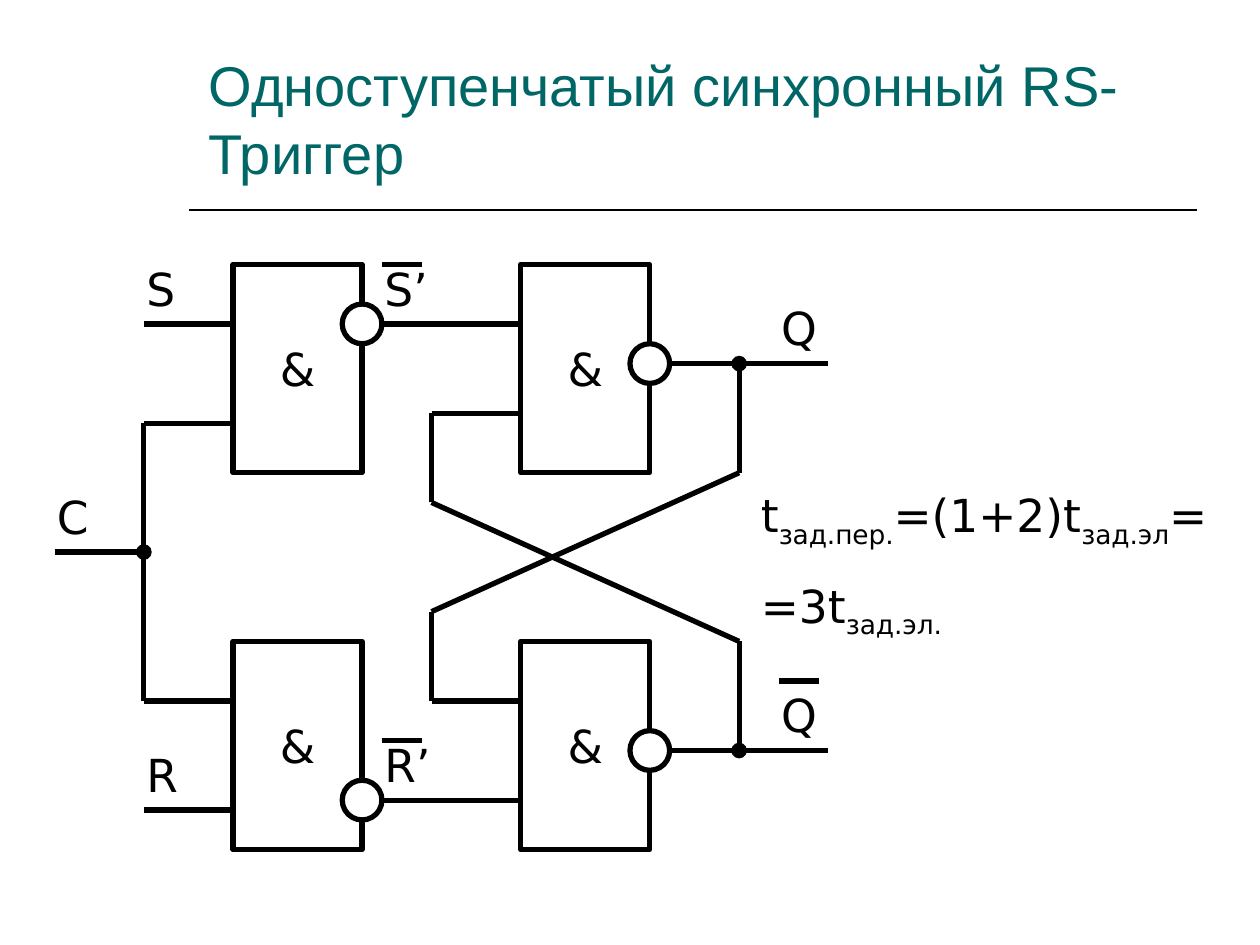
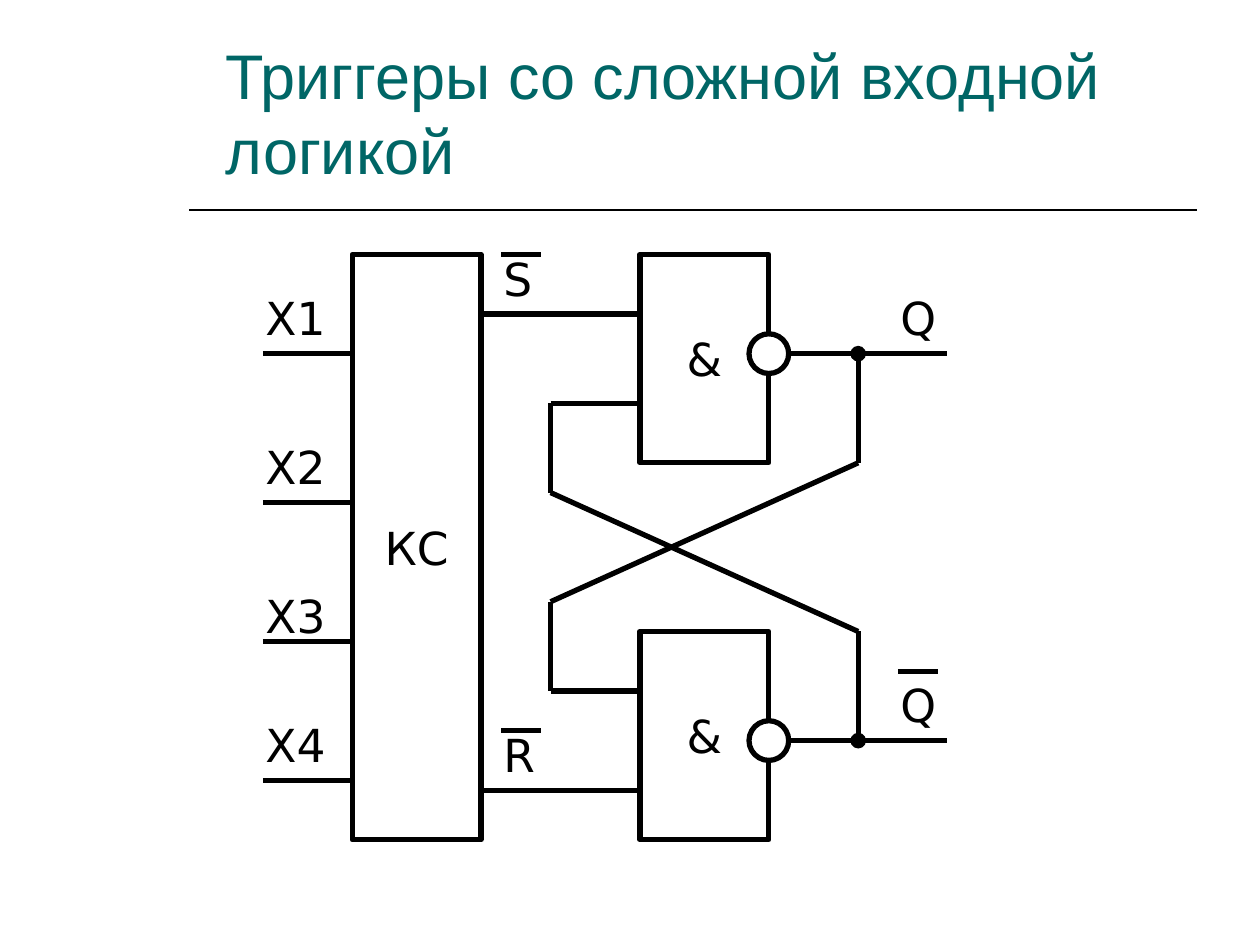
from dataclasses import dataclass
from pptx import Presentation
from pptx.dml.color import RGBColor
from pptx.enum.shapes import MSO_CONNECTOR, MSO_SHAPE
from pptx.enum.text import MSO_ANCHOR, PP_ALIGN
from pptx.oxml.ns import qn
from pptx.util import Cm, Pt
from lxml import etree

LINE = MSO_CONNECTOR.STRAIGHT
RECT = MSO_SHAPE.RECTANGLE
OVAL = MSO_SHAPE.OVAL
TOP, MID, LOW = MSO_ANCHOR.TOP, MSO_ANCHOR.MIDDLE, MSO_ANCHOR.BOTTOM
LEFT, MIDST = PP_ALIGN.LEFT, PP_ALIGN.CENTER


@dataclass
class Theme:
    ink: RGBColor = RGBColor(0, 0, 0)
    paper: RGBColor = RGBColor(255, 255, 255)
    teal: RGBColor = RGBColor(0, 0x66, 0x66)
    head: str = "Arial"
    body: str = "DejaVu Sans"
    size: float = 26
    gap: float = 16.2
    thick: float = 3
    thin: float = 1


theme = Theme()
deck = Presentation()
deck.slide_width, deck.slide_height = Cm(25.4), Cm(19.05)


def wire(slide, base, pts, width=theme.thick, dot=False):
    left, top = base
    for num, ((xa, ya), (xb, yb)) in enumerate(zip(pts, pts[1:])):
        line = slide.shapes.add_connector(
            LINE, Cm(left + xa), Cm(top + ya), Cm(left + xb), Cm(top + yb))
        line.line.color.rgb = theme.ink
        line.line.width = Pt(width)
        props = line._element.spPr
        if dot and num == 0:
            etree.SubElement(props.find(qn("a:ln")), qn("a:headEnd"), type="oval")
        etree.SubElement(props, qn("a:effectLst"))


def form(slide, base, kind, x, y, w, h, text="", size=theme.size,
         font=theme.body, tint=theme.ink, anchor=TOP):
    area = Cm(base[0] + x), Cm(base[1] + y), Cm(w), Cm(h)
    if kind is None:
        item = slide.shapes.add_textbox(*area)
    else:
        item = slide.shapes.add_shape(kind, *area)
        item.shadow.inherit = False
        item.fill.solid()
        item.fill.fore_color.rgb = theme.paper
        item.line.color.rgb = theme.ink
        item.line.width = Pt(theme.thick)
    frame = item.text_frame
    frame.text = text
    frame.word_wrap = kind is None
    frame.vertical_anchor = MID if kind else anchor
    for para in frame.paragraphs:
        para.alignment = MIDST if kind else LEFT
        para.font.size = Pt(size)
        for run in para.runs:
            run.font.size = Pt(size)
            run.font.name = font
            run.font.color.rgb = tint
    return frame


GATE = 2.6, 4.2
DROP = 7.6
DOT = 0.8
FEED = -5.8
PORT = FEED - 1.8
NODE = 4.4
TURN = -1.8

latch = [
    ([(-3.2, 1.2), (0, 1.2)], False),
    ([(-3.2, 10.8), (0, 10.8)], False),
    ([(2.6, 2), (6.2, 2)], False),
    ([(2.6, 9.8), (6.2, 9.8)], False),
    ([(NODE, 2), (NODE, 4.2), (TURN, 7), (TURN, 8.8), (0, 8.8)], True),
    ([(NODE, 9.8), (NODE, 7.6), (TURN, 4.8), (TURN, 3), (0, 3)], True),
    ([(-2.8, 0), (-2, 0)], False),
    ([(-2.8, 9.6), (-2, 9.6)], False),
    ([(5.2, 8.4), (6, 8.4)], False),
]
clock = [
    ([(PORT, 1.2), (FEED, 1.2)], False),
    ([(PORT, 11), (FEED, 11)], False),
    ([(PORT - 1.8, 5.8), (PORT, 5.8)], False),
    ([(PORT, 5.8), (PORT, 3.2), (FEED, 3.2)], True),
    ([(PORT, 5.8), (PORT, 8.8), (FEED, 8.8)], False),
]
taps = [([(PORT, y), (FEED, y)], False) for y in (2, 5, 7.8, 10.6)]
outs = [("Q", 5, 0.6), ("Q", 5, 8.4)]
pair = [(0, 0, *GATE, "&"), (0, DROP, *GATE, "&")]
ends = [(2.6, 2), (2.6, 9.8)]

plans = [
    dict(title="Одноступенчатый синхронный RS-Триггер", size=32,
         area=(3.96, 1, 20, 2.86), base=(10.5, 5.33),
         wires=latch + clock,
         boxes=pair + [(FEED, 0, *GATE, "&"), (FEED, DROP, *GATE, "&")],
         rings=ends + [(-3.2, 1.2), (-3.2, 10.8)],
         marks=outs + [("S", -7.8, -0.2), ("R", -7.8, 9.6), ("С", -9.6, 4.4),
                       ("S’", -3, -0.2), ("R’", -3, 9.4)]),
    dict(title="Триггеры со сложной входной логикой", size=36,
         area=(4.3, 0.2, 19.9, 3.7), base=(12.9, 5.13),
         wires=latch + taps,
         boxes=pair + [(FEED, 0, 2.6, 11.8, "КС")],
         rings=ends,
         marks=outs + [("S", -3, -0.2), ("R", -3, 9.4)]
         + [(f"X{n}", -7.8, y) for n, y in enumerate((0.6, 3.6, 6.6, 9.2), 1)]),
]

for plan in plans:
    slide = deck.slides.add_slide(deck.slide_layouts[6])
    base = plan["base"]
    wire(slide, (0, 0), [(3.81, 4.24), (24.13, 4.24)], theme.thin)
    form(slide, (0, 0), None, *plan["area"], plan["title"], plan["size"],
         theme.head, theme.teal, LOW)
    for pts, dot in plan["wires"]:
        wire(slide, base, pts, dot=dot)
    for box in plan["boxes"]:
        form(slide, base, RECT, *box)
    for x, y in plan["rings"]:
        form(slide, base, OVAL, x - DOT / 2, y - DOT / 2, DOT, DOT)
    for text, x, y in plan["marks"]:
        form(slide, base, None, x, y, 1.8, 1.37, text)

rows = [
    [("t", 0), ("зад.пер.", 1), ("=(1+2)t", 0), ("зад.эл", 1), ("=", 0)],
    [("=3t", 0), ("зад.эл.", 1)],
]
frame = form(deck.slides[0], (0, 0), None, 15.09, 9.7, 10.31, 3.33)
frame.add_paragraph()
for para, row in zip(frame.paragraphs, rows):
    para.space_before = Pt(theme.gap)
    for text, sub in row:
        run = para.add_run()
        run.text = text
        run.font.size = Pt(theme.size)
        run.font.name = theme.body
        run.font.color.rgb = theme.ink
        if sub:
            run.font._element.set("baseline", "-25000")

deck.save("out.pptx")
